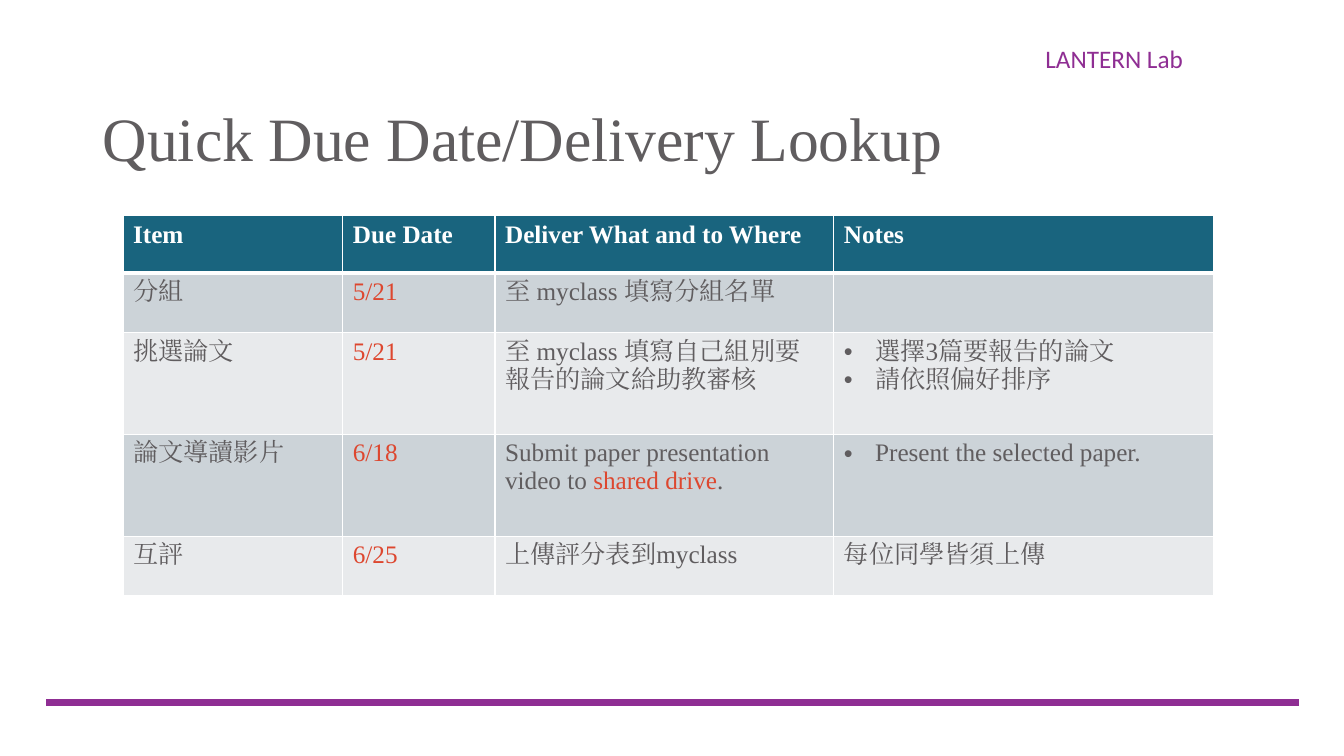
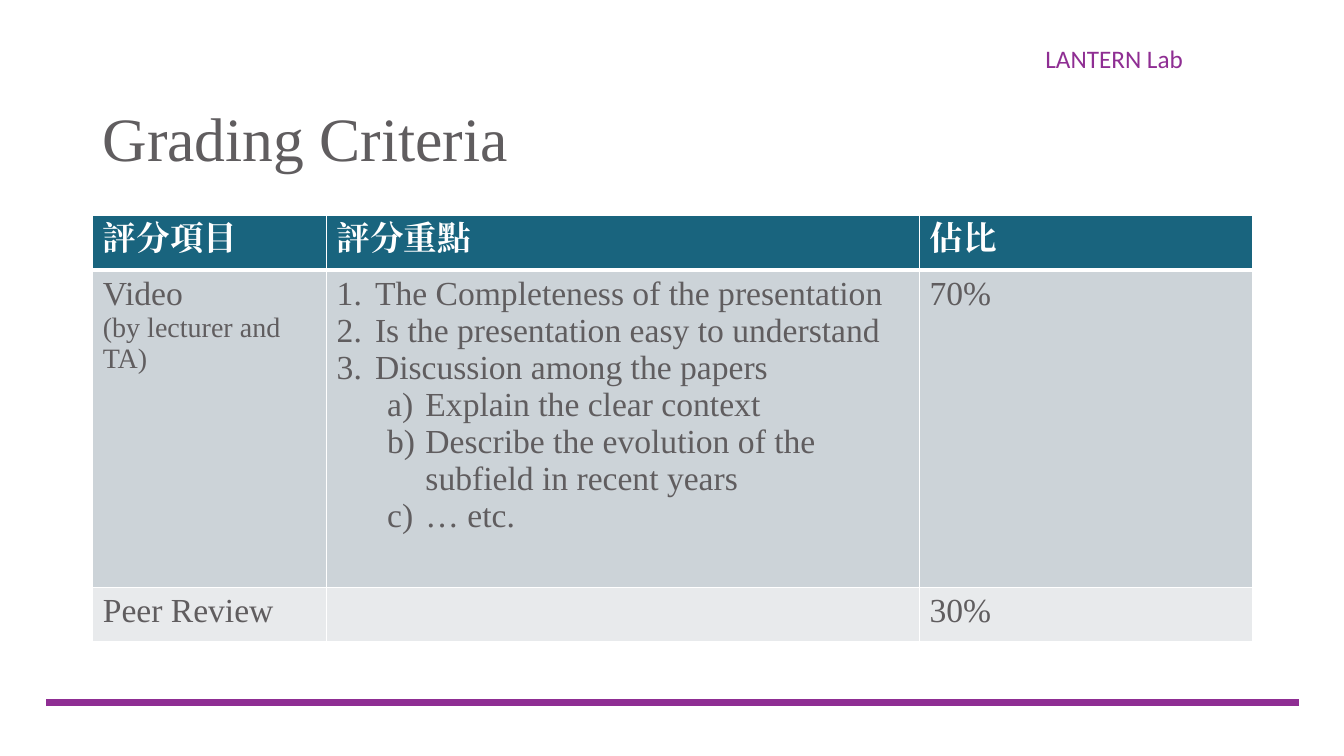
from dataclasses import dataclass
from lxml.etree import SubElement
from pptx import Presentation
from pptx.dml.color import RGBColor
from pptx.enum.shapes import MSO_CONNECTOR
from pptx.enum.text import MSO_ANCHOR
from pptx.oxml.ns import qn
from pptx.util import Inches, Pt

COLORS = {
    "purple": "8F2E93", "text": "605D5F", "red": "DD472F", "white": "FFFFFF",
    "header": "19647E", "band_dark": "CCD3D8", "band_light": "E8EAEC",
}
BODY_FONT = "Times New Roman"
LAB_NAME = "LANTERN Lab"

# List kinds: left margin, hanging indent, level, bullet element, its attributes
LISTS = {
    "dot": (0.31, 0.31, 0, "a:buChar", {"char": "•"}),
    "number": (0.38, 0.38, 0, "a:buAutoNum", {"type": "arabicPeriod"}),
    "letter": (0.88, 0.38, 1, "a:buAutoNum", {"type": "alphaLcParenR"}),
}


@dataclass
class Line:
    """One paragraph of a cell; runs are (text, colour name) pairs."""
    runs: tuple
    list_kind: str = ""
    size: float = 0


def plain(text, list_kind="", size=0):
    return Line(((text, "text"),), list_kind, size)


def red(text):
    return [Line(((text, "red"),))]


# Content: a cell is a string or a list of lines
SLIDES = [
    {
        "title": "Quick Due Date/Delivery Lookup",
        "left": 1.22, "size": 18,
        "columns": [2.18, 1.51, 3.36, 3.77],
        "heights": [0.57, 0.59, 1.01, 1.01, 0.59],
        "rows": [
            ["Item", "Due Date", "Deliver What and to Where", "Notes"],
            ["分組", red("5/21"), "至 myclass 填寫分組名單", ""],
            ["挑選論文", red("5/21"), "至 myclass 填寫自己組別要報告的論文給助教審核",
             [plain("選擇3篇要報告的論文", "dot"), plain("請依照偏好排序", "dot")]],
            ["論文導讀影片", red("6/18"),
             [Line((("Submit paper presentation video to ", "text"),
                    ("shared drive", "red"), (".", "text")))],
             [plain("Present the selected paper.", "dot")]],
            ["互評", red("6/25"), "上傳評分表到myclass", "每位同學皆須上傳"],
        ],
    },
    {
        "title": "Grading Criteria",
        "left": 0.92, "size": 24,
        "columns": [2.32, 5.88, 3.3],
        "heights": [0.54, 3.15, 0.54],
        "rows": [
            ["評分項目", "評分重點", "佔比"],
            [[plain("Video"), plain("(by lecturer and TA)", size=20)],
             [plain("The Completeness of the presentation", "number"),
              plain("Is the presentation easy to understand", "number"),
              plain("Discussion among the papers", "number"),
              plain("Explain the clear context", "letter"),
              plain("Describe the evolution of the subfield in recent years", "letter"),
              plain("… etc.", "letter")],
             "70%"],
            ["Peer Review", "", "30%"],
        ],
    },
]


def color(name):
    return RGBColor.from_string(COLORS[name])


def add_run(paragraph, text, size, color_name, font=BODY_FONT, bold=False):
    run = paragraph.add_run()
    run.text = text
    run.font.name = font
    run.font.size = Pt(size)
    run.font.bold = bold
    run.font.color.rgb = color(color_name)
    SubElement(run.font._element, qn("a:ea"), typeface=font)


def add_text(slide, box, text, size, color_name, font=BODY_FONT):
    frame = slide.shapes.add_textbox(*map(Inches, box)).text_frame
    frame.word_wrap = True
    add_run(frame.paragraphs[0], text, size, color_name, font)
    return frame


def add_frame(slide, title):
    """Footer rule, lab name and title shared by all slides."""
    rule = slide.shapes.add_connector(
        MSO_CONNECTOR.STRAIGHT, Inches(0.46), Inches(6.97), Inches(12.88), Inches(6.97))
    rule.line.color.rgb = color("purple")
    rule.line.width = Pt(4.5)
    SubElement(rule._element.spPr, qn("a:effectLst"))

    add_text(slide, (10.27, 0.38, 2.6, 0.4), LAB_NAME, 18, "purple", "Calibri")
    frame = add_text(slide, (0.92, 0.68, 11.5, 1.45), title, 44, "text")
    frame.vertical_anchor = MSO_ANCHOR.MIDDLE
    frame.paragraphs[0].line_spacing = 0.9


def set_list(paragraph, list_kind):
    margin, hanging, level, tag, attributes = LISTS[list_kind]
    paragraph.level = level
    properties = paragraph._p.get_or_add_pPr()
    properties.set("marL", str(Inches(margin)))
    properties.set("indent", str(-Inches(hanging)))
    SubElement(properties, qn("a:buFont"), typeface="Arial" if list_kind == "dot" else BODY_FONT)
    SubElement(properties, qn(tag), attributes)


def set_borders(cell, top, bottom):
    properties = cell._tc.get_or_add_tcPr()
    widths = {"a:lnL": 1, "a:lnR": 1, "a:lnT": top, "a:lnB": bottom}
    for position, (tag, width) in enumerate(widths.items()):
        border = SubElement(properties, qn(tag), w=str(Pt(width)))
        fill = SubElement(border, qn("a:solidFill"))
        SubElement(fill, qn("a:srgbClr"), val=COLORS["white"])
        properties.insert(position, border)


def fill_cell(cell, content, size, row_index):
    is_header = row_index == 0
    band = "header" if is_header else "band_dark" if row_index % 2 else "band_light"
    cell.fill.solid()
    cell.fill.fore_color.rgb = color(band)
    set_borders(cell, top=3 if row_index == 1 else 1, bottom=3 if is_header else 1)
    if not content:
        return
    if isinstance(content, str):
        content = [Line(((content, "white" if is_header else "text"),))]
    frame = cell.text_frame
    for index, line in enumerate(content):
        paragraph = frame.add_paragraph() if index else frame.paragraphs[0]
        if line.list_kind:
            set_list(paragraph, line.list_kind)
        for text, color_name in line.runs:
            add_run(paragraph, text, line.size or size, color_name, bold=is_header)


def add_data_table(slide, data):
    columns, heights = data["columns"], data["heights"]
    table = slide.shapes.add_table(
        len(heights), len(columns), Inches(data["left"]), Inches(2.14),
        Inches(sum(columns)), Inches(sum(heights))).table
    table.horz_banding = False
    for column, width in zip(table.columns, columns):
        column.width = Inches(width)
    for row_index, (row, height) in enumerate(zip(table.rows, heights)):
        row.height = Inches(height)
        for cell, content in zip(row.cells, data["rows"][row_index]):
            fill_cell(cell, content, data["size"], row_index)


def main():
    presentation = Presentation()
    presentation.slide_width = Inches(13.33)
    presentation.slide_height = Inches(7.5)
    for data in SLIDES:
        slide = presentation.slides.add_slide(presentation.slide_layouts[6])
        add_frame(slide, data["title"])
        add_data_table(slide, data)
    presentation.save("out.pptx")


if __name__ == "__main__":
    main()
